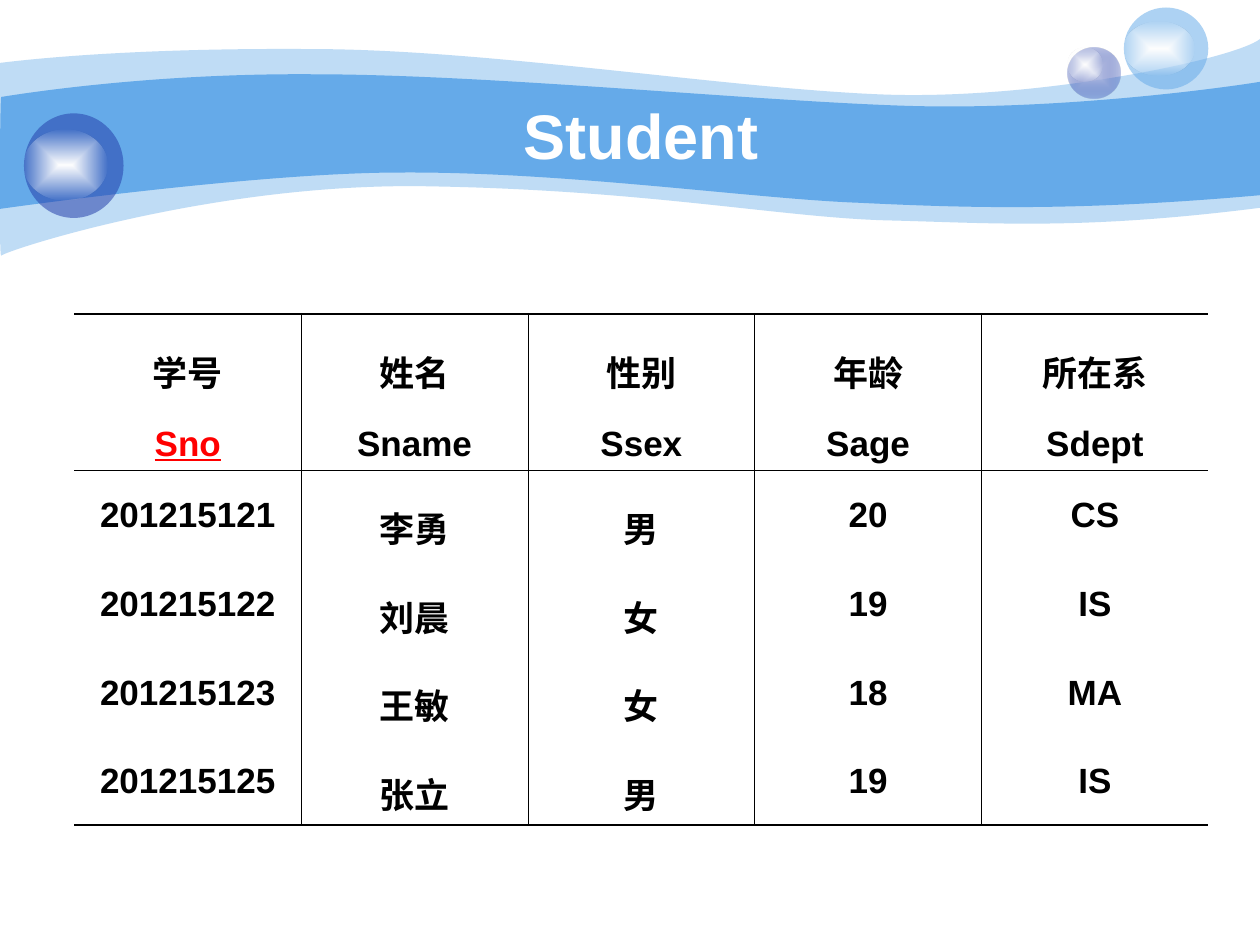
"""Build the Student table slide with its wave header and bubbles."""
from lxml import etree
from pptx import Presentation
from pptx.dml.color import RGBColor
from pptx.enum.shapes import MSO_SHAPE
from pptx.enum.text import MSO_ANCHOR, PP_ALIGN
from pptx.oxml.ns import qn
from pptx.util import Inches, Pt

OVAL = MSO_SHAPE.OVAL
CENTER = PP_ALIGN.CENTER
MIDDLE = MSO_ANCHOR.MIDDLE

BLACK = RGBColor(0x00, 0x00, 0x00)
WHITE = RGBColor(0xFF, 0xFF, 0xFF)
RED = RGBColor(0xFF, 0x00, 0x00)
SKY = RGBColor(0x65, 0xAA, 0xE9)
NAVY = RGBColor(0x23, 0x3D, 0xA9)
MIST = RGBColor(0xC7, 0xCE, 0xE9)

FONT = "Arial"
NO_GRID = "{2D5ABB26-0587-4C30-8999-92F81FD0307C}"
THIN, THICK = 0.45, 1.08

OUTER = [
    (0, 0.5),
    (0.24, 0.47, 1.07, 0.38, 2.47, 0.39),
    (3.86, 0.39, 5.75, 0.7, 6.99, 0.75),
    (8.22, 0.8, 9.8, 0.47, 10, 0.31),
    (10, 1.65),
    (8.58, 1.83, 7.87, 1.77, 7.05, 1.75),
    (6.22, 1.73, 5.15, 1.51, 3.43, 1.48),
    (1.72, 1.44, 0.04, 1.99, 0.01, 2.03),
    (-0.01, 2.08, 0, 0.75, 0, 0.5),
]
INNER = [
    (0.01, 0.77),
    (0.02, 0.77, 1.1, 0.58, 2.48, 0.59),
    (3.86, 0.59, 5.95, 0.8, 7.18, 0.84),
    (8.41, 0.88, 9.76, 0.69, 10, 0.65),
    (10, 1.55),
    (8.53, 1.68, 7.65, 1.65, 6.82, 1.61),
    (5.99, 1.58, 4.47, 1.36, 3.17, 1.37),
    (2.03, 1.37, -0.02, 1.66, -0.01, 1.66),
    (0, 1.66, 0, 0.77, 0.01, 0.77),
]

HEADS = [("学号", "Sno"), ("姓名", "Sname"), ("性别", "Ssex"),
         ("年龄", "Sage"), ("所在系", "Sdept")]
ROWS = [
    ("201215121", "李勇", "男", "20", "CS"),
    ("201215122", "刘晨", "女", "19", "IS"),
    ("201215123", "王敏", "女", "18", "MA"),
    ("201215125", "张立", "男", "19", "IS"),
]


def set_alpha(color, percent):
    """Set the opacity of a srgbClr element."""
    etree.SubElement(color, qn("a:alpha")).set("val", str(percent * 1000))


def paint(shape, color, alpha=100):
    """Give a shape a plain fill without line or shadow."""
    shape.shadow.inherit = False
    shape.line.fill.background()
    shape.fill.solid()
    shape.fill.fore_color.rgb = color
    if alpha < 100:
        set_alpha(next(shape.fill._xPr.iter(qn("a:srgbClr"))), alpha)


def glow(shape, inner, outer, alpha):
    """Give a shape a gradient from its middle to a clearer rim."""
    paint(shape, inner)
    shape.fill.gradient()
    for stop, color in zip(shape.fill.gradient_stops, (inner, outer)):
        stop.color.rgb = color
    grad = shape.fill._xPr.find(qn("a:gradFill"))
    set_alpha(list(grad.iter(qn("a:srgbClr")))[-1], alpha)
    rim = etree.Element(qn("a:path"), {"path": "rect"})
    sides = dict.fromkeys("ltrb", "50000")
    etree.SubElement(rim, qn("a:fillToRect"), sides)
    grad.replace(grad.find(qn("a:lin")), rim)


def bend(shape, parts):
    """Join each three line steps of a cubic part into one curve."""
    steps = iter(list(shape._element.iter(qn("a:lnTo"))))
    for part in parts:
        first = next(steps)
        if len(part) == 2:
            continue
        curve = etree.Element(qn("a:cubicBezTo"))
        first.addprevious(curve)
        for step in (first, next(steps), next(steps)):
            curve.append(step[0])
            step.getparent().remove(step)


def add_wave(slide, parts, alpha=100):
    """Draw one wave of the header from line and cubic parts."""
    points = [(Inches(x), Inches(y)) for part in parts
              for x, y in zip(part[::2], part[1::2])]
    pen = slide.shapes.build_freeform(*points[0])
    pen.add_line_segments(points[1:], close=True)
    wave = pen.convert_to_shape()
    bend(wave, parts[1:])
    paint(wave, SKY, alpha)


def add_bubble(slide, ball, shine, color, alpha, core=None):
    """Draw a bubble as a ball with a white shine."""
    group = slide.shapes.add_group_shape()
    disc, light = (group.shapes.add_shape(OVAL, *map(Inches, box))
                   for box in (ball, shine))
    if core is None:
        paint(disc, color, alpha)
    else:
        glow(disc, core, color, alpha)
    glow(light, WHITE, WHITE, 0)


def style(para, size, color):
    """Centre a paragraph and set its bold font."""
    para.alignment = CENTER
    font = para.font
    font.name, font.size, font.bold = FONT, Pt(size), True
    font.color.rgb = color


def set_title(slide, text):
    """Place the title in front of the waves."""
    title = slide.shapes.title
    title.left, title.top, title.width, title.height = map(
        Inches, (0.98, 0.76, 8.08, 0.62))
    frame = title.text_frame
    frame.text = text
    frame.vertical_anchor = MIDDLE
    style(frame.paragraphs[0], 36, WHITE)
    slide.shapes._spTree.append(title._element)


def set_edges(cell, widths):
    """Set the left, right, top and bottom borders of a cell."""
    props = cell._tc.get_or_add_tcPr()
    for side, width in zip("LRTB", widths):
        line = etree.SubElement(props, qn(f"a:ln{side}"))
        if width:
            line.set("w", str(Pt(width)))
            fill = etree.SubElement(line, qn("a:solidFill"))
            etree.SubElement(fill, qn("a:srgbClr")).set("val", str(BLACK))
        else:
            etree.SubElement(line, qn("a:noFill"))


def fill_cell(cell, lines):
    """Write the lines of a cell, with the key name in red."""
    cell.fill.background()
    frame = cell.text_frame
    frame.text = "\n".join(lines)
    for para in frame.paragraphs:
        key = para.text == "Sno"
        style(para, 20, RED if key else BLACK)
        if key:
            para.font.underline = True
        para.line_spacing = 1.5
        para.space_before = Pt(5)


def add_grid(slide):
    """Add the table of students."""
    rows = [HEADS] + [[(text,) for text in row] for row in ROWS]
    last, end = len(rows) - 1, len(HEADS) - 1
    table = slide.shapes.add_table(
        len(rows), len(HEADS), *map(Inches, (0.59, 2.49, 9, 3.98))).table
    table.first_row = table.horz_banding = False
    table._tbl.tblPr.find(qn("a:tableStyleId")).text = NO_GRID
    for col in table.columns:
        col.width = Inches(1.8)
    for r, row in enumerate(rows):
        table.rows[r].height = Inches(0.7 if r else 1.17)
        top = {0: THICK, 1: THIN}.get(r, 0)
        base = {0: THIN, last: THICK}.get(r, 0)
        for c, lines in enumerate(row):
            cell = table.cell(r, c)
            set_edges(cell, (THIN if c else 0, THIN if c < end else 0, top, base))
            fill_cell(cell, lines)


def main():
    """Build and save the slide."""
    deck = Presentation()
    deck.slide_width, deck.slide_height = Inches(10), Inches(7.5)
    slide = deck.slides.add_slide(deck.slide_layouts[5])
    add_wave(slide, OUTER, 41)
    add_wave(slide, INNER)
    add_bubble(slide, (8.47, 0.38, 0.42, 0.4), (8.47, 0.38, 0.28, 0.27), NAVY, 31, MIST)
    add_bubble(slide, (8.92, 0.06, 0.67, 0.65), (8.92, 0.17, 0.56, 0.43), SKY, 53)
    add_bubble(slide, (0.19, 0.9, 0.79, 0.83), (0.19, 1.03, 0.66, 0.56), NAVY, 53)
    set_title(slide, " Student")
    add_grid(slide)
    deck.save("out.pptx")


if __name__ == "__main__":
    main()
